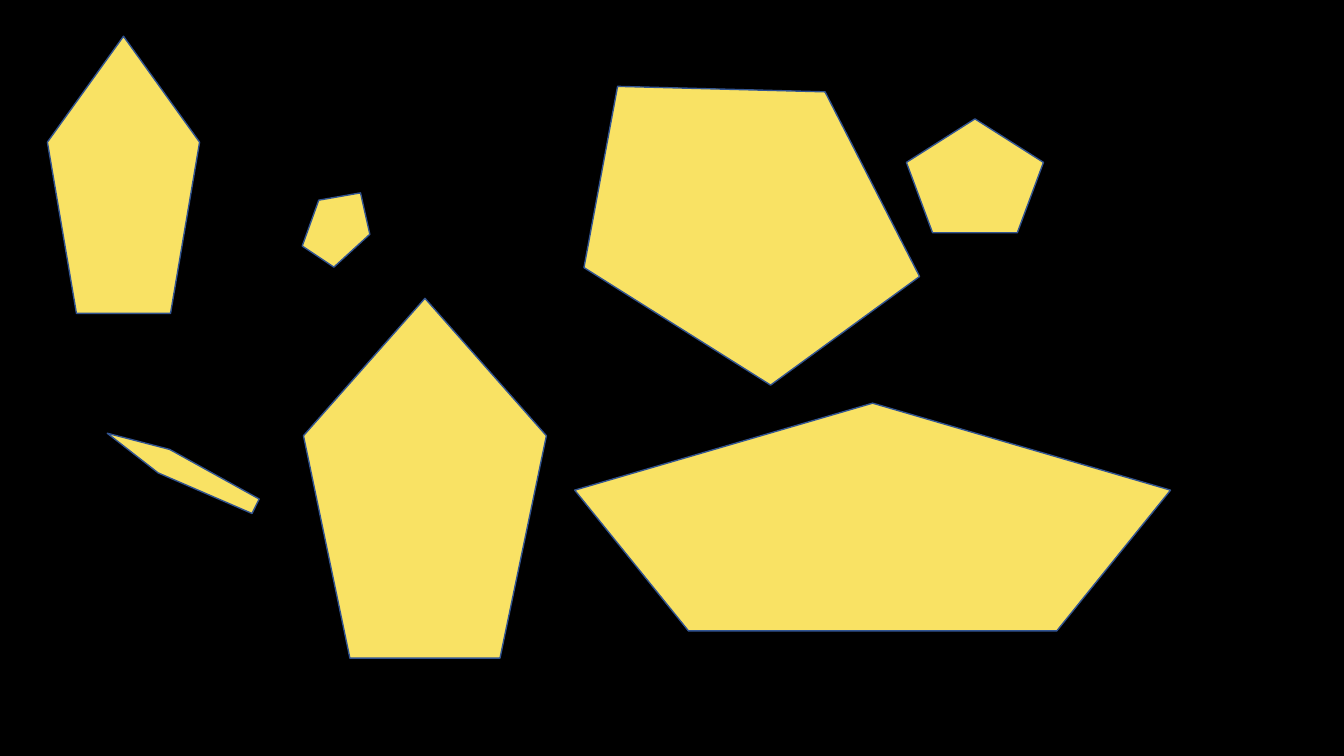
from pptx import Presentation
from pptx.dml.color import RGBColor
from pptx.enum.shapes import MSO_SHAPE
from pptx.util import Inches, Pt

COLORS = {"background": "000000", "pentagon": "F9E264", "outline": "325491"}

# left, top, width, height in inches, rotation in degrees
PENTAGONS = [
    (0.47, 0.36, 1.51, 2.75, 0),
    (5.68, 0.7, 3.54, 2.75, 32.2),
    (1.67, 3.84, 0.26, 1.64, 296.2),
    (8.99, 1.18, 1.36, 1.13, 0),
    (5.7, 4, 5.91, 2.26, 0),
    (3.06, 1.85, 0.61, 0.76, 33.7),
    (3.01, 2.96, 2.41, 3.57, 0),
]


def paint(fill, color_name):
    fill.solid()
    fill.fore_color.rgb = RGBColor.from_string(COLORS[color_name])


def add_pentagon(slide, left, top, width, height, rotation):
    pentagon = slide.shapes.add_shape(
        MSO_SHAPE.REGULAR_PENTAGON,
        Inches(left), Inches(top), Inches(width), Inches(height))
    pentagon.rotation = rotation
    pentagon.shadow.inherit = False
    paint(pentagon.fill, "pentagon")
    paint(pentagon.line.fill, "outline")
    pentagon.line.width = Pt(1)


def main():
    prs = Presentation()
    prs.slide_width, prs.slide_height = Inches(13.33), Inches(7.5)
    blank_layout = prs.slide_layouts[6]
    slide = prs.slides.add_slide(blank_layout)
    paint(slide.background.fill, "background")
    for placement in PENTAGONS:
        add_pentagon(slide, *placement)
    prs.save("out.pptx")


if __name__ == "__main__":
    main()
